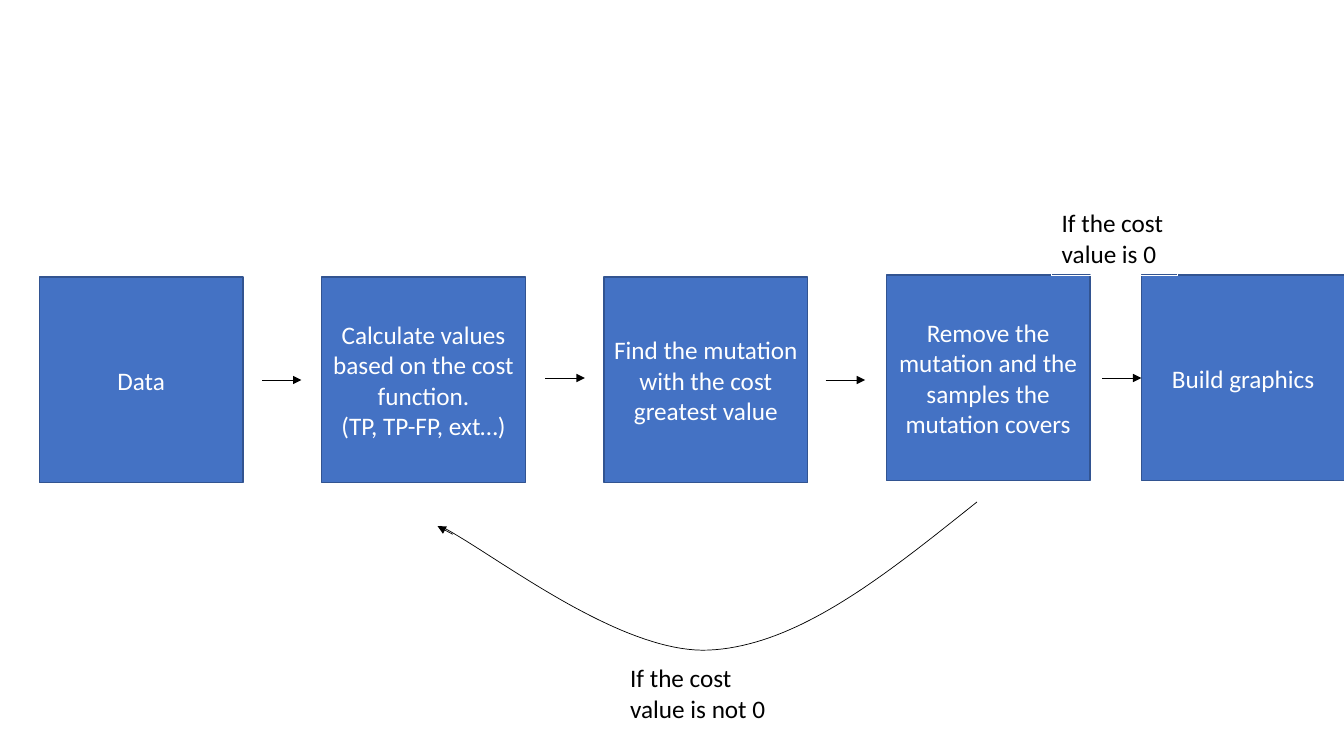
from lxml import etree
from pptx import Presentation
from pptx.dml.color import RGBColor
from pptx.enum.shapes import MSO_CONNECTOR, MSO_SHAPE
from pptx.enum.text import MSO_ANCHOR, PP_ALIGN
from pptx.oxml.ns import qn
from pptx.util import Inches, Pt

STRAIGHT = MSO_CONNECTOR.STRAIGHT
RECT = MSO_SHAPE.RECTANGLE
MIDDLE = MSO_ANCHOR.MIDDLE
CENTER = PP_ALIGN.CENTER
LEFT = PP_ALIGN.LEFT

COLORS = {"box": "4472C4", "edge": "325491", "white": "FFFFFF", "black": "000000"}
BOX_W, BOX_H = 2.02, 2.04
STEP_X, STEP_GAP = 0.39, 2.8
STEPS = [
    (STEP_X, 2.75, "Data"),
    (STEP_X + STEP_GAP, 2.75,
     "Calculate values based on the cost function.\n(TP, TP-FP, ext…)"),
    (STEP_X + 2 * STEP_GAP, 2.75, "Find the mutation with the cost greatest value"),
    (STEP_X + 3 * STEP_GAP, 2.73,
     "Remove the mutation and the samples the mutation covers"),
    (11.32, 2.73, "Build graphics"),
]
ARROWS = [(2.6, 3.77), (5.41, 3.75), (8.19, 3.77), (10.93, 3.75)]
ARROW_W = 0.39
CURVE_SAMPLES = 40


def rgb(name):
    return RGBColor.from_string(COLORS[name])


def write(tf, text, color, align):
    tf.text = text
    for p in tf.paragraphs:
        p.alignment = align
        for r in p.runs:
            r.font.size = Pt(18)
            r.font.name = "Calibri"
            r.font.color.rgb = rgb(color)


def add_step(s, x, y, text):
    sp = s.shapes.add_shape(RECT, Inches(x), Inches(y), Inches(BOX_W), Inches(BOX_H))
    sp.shadow.inherit = False
    sp.fill.solid()
    sp.fill.fore_color.rgb = rgb("box")
    sp.line.color.rgb = rgb("edge")
    sp.line.width = Pt(1)
    sp.text_frame.word_wrap = True
    sp.text_frame.vertical_anchor = MIDDLE
    write(sp.text_frame, text, "white", CENTER)
    return sp


def add_arrow(s, x1, y1, x2, y2):
    line = s.shapes.add_connector(STRAIGHT, Inches(x1), Inches(y1), Inches(x2), Inches(y2))
    line.line.color.rgb = rgb("black")
    line.line.width = Pt(0.5)
    etree.SubElement(line.line._get_or_add_ln(), qn("a:tailEnd"), type="triangle")
    etree.SubElement(line._element.spPr, qn("a:effectLst"))
    return line


def bezier(p0, p1, p2, p3):
    points = []
    for i in range(1, CURVE_SAMPLES + 1):
        t = i / CURVE_SAMPLES
        u = 1 - t
        points.append(tuple(
            Inches(u**3 * a + 3 * u**2 * t * b + 3 * u * t**2 * c + t**3 * d)
            for a, b, c, d in zip(p0, p1, p2, p3)))
    return points


def add_loop(s, x, y):
    start, bottom, end = (x + 5.32, y), (x + 2.66, y + 1.47), (x, y + 0.24)
    fb = s.shapes.build_freeform(Inches(start[0]), Inches(start[1]))
    fb.add_line_segments(
        bezier(start, (x + 4.43, y + 0.71), (x + 3.55, y + 1.43), bottom)
        + bezier(bottom, (x + 1.77, y + 1.51), (x + 0.51, y + 0.5), end),
        close=False)
    sp = fb.convert_to_shape()
    sp.shadow.inherit = False
    sp.fill.background()
    sp.line.color.rgb = rgb("black")
    sp.line.width = Pt(0.5)
    add_arrow(s, x + 0.12, y + 0.32, x - 0.03, y + 0.24)


def add_condition(s, x, y, w, text):
    table = s.shapes.add_table(1, 1, Inches(x), Inches(y), Inches(w), Inches(0.7)).table
    table.first_row = False
    table.horz_banding = False
    cell = table.cell(0, 0)
    cell.fill.background()
    write(cell.text_frame, text, "black", LEFT)


def add_flow(s):
    boxes = [add_step(s, *step) for step in STEPS]
    arrows = [add_arrow(s, x, y, x + ARROW_W, y) for x, y in ARROWS]
    arrows[-1].end_connect(boxes[-1], 1)


def main():
    prs = Presentation()
    prs.slide_width = Inches(13.33)
    prs.slide_height = Inches(7.5)
    s = prs.slides.add_slide(prs.slide_layouts[6])
    add_flow(s)
    add_loop(s, 4.37, 4.98)
    add_condition(s, 10.43, 2.02, 1.25, "If the cost\nvalue is 0")
    add_condition(s, 6.15, 6.53, 1.71, "If the cost\nvalue is not 0")
    prs.save("out.pptx")


if __name__ == "__main__":
    main()
